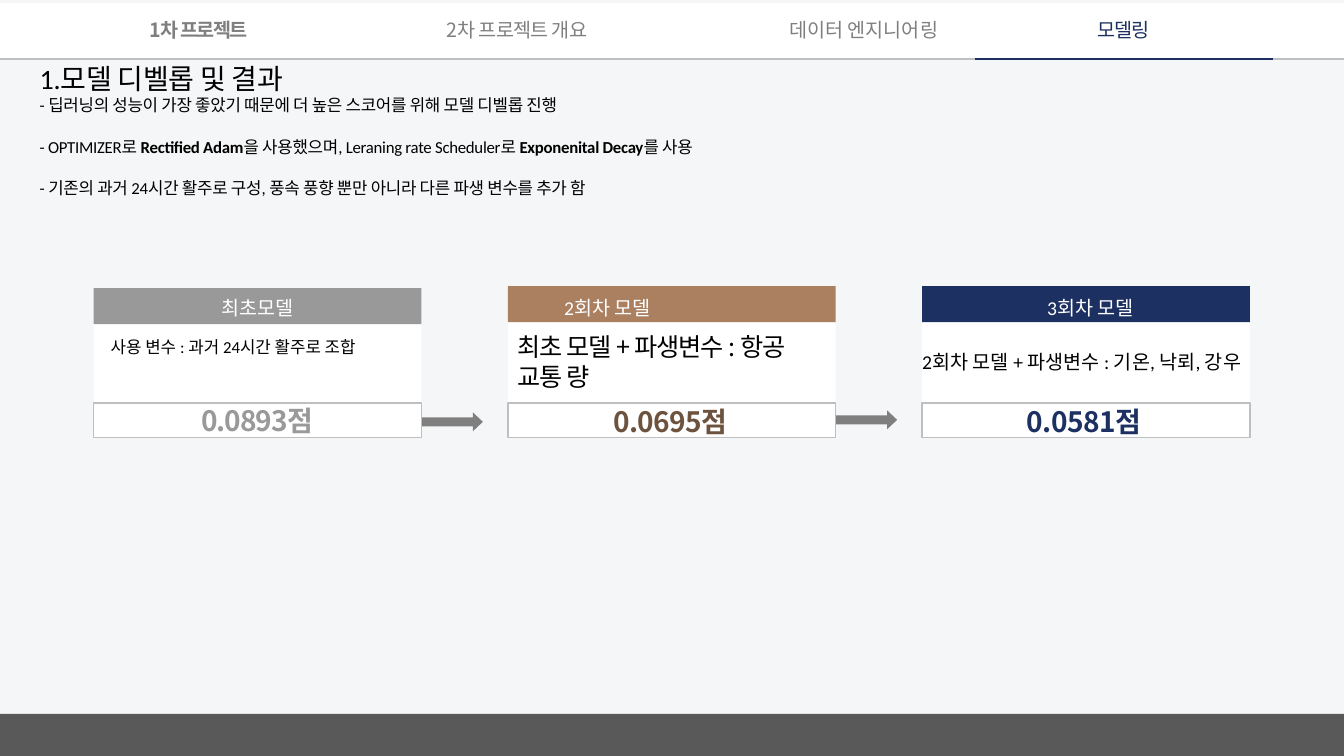
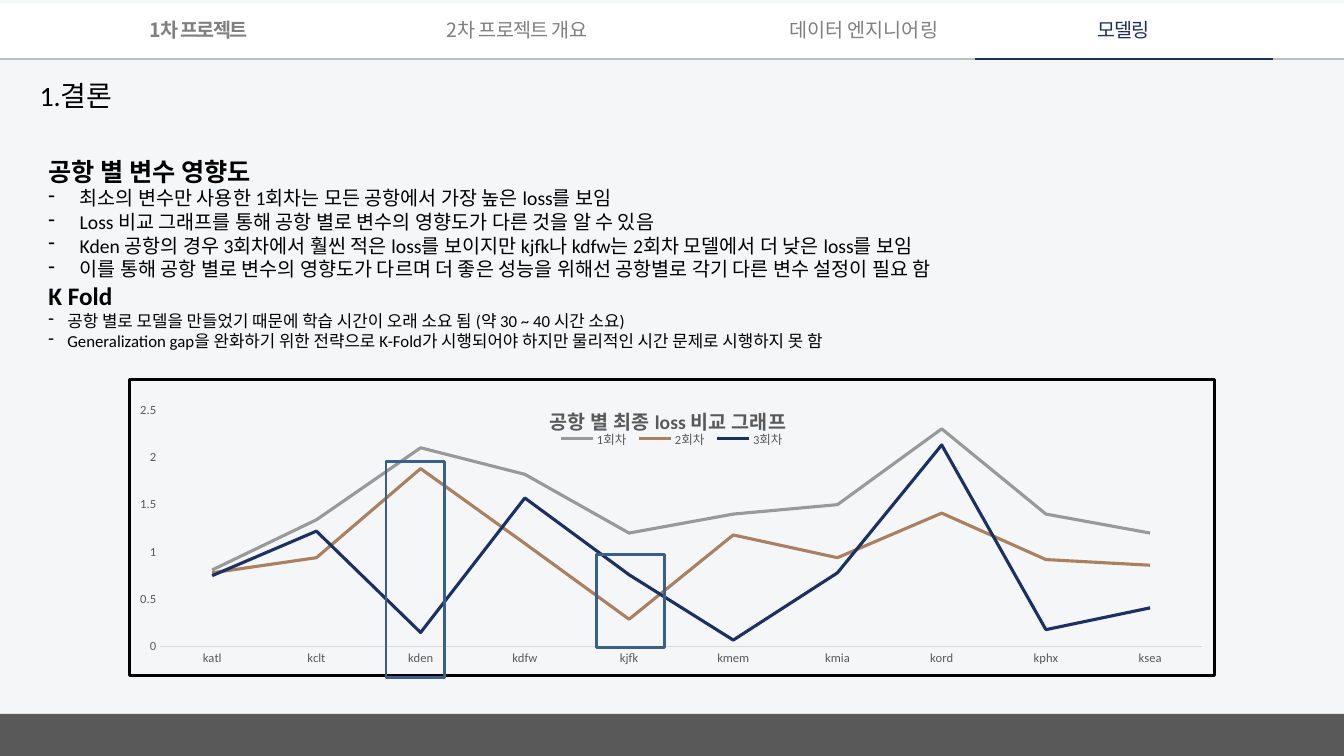
from lxml import etree
from pptx import Presentation
from pptx.chart.data import CategoryChartData
from pptx.dml.color import RGBColor
from pptx.enum.chart import XL_CHART_TYPE, XL_LEGEND_POSITION, XL_MARKER_STYLE, XL_TICK_MARK
from pptx.enum.shapes import MSO_CONNECTOR, MSO_SHAPE
from pptx.enum.text import MSO_ANCHOR, MSO_AUTO_SIZE, PP_ALIGN
from pptx.oxml import parse_xml
from pptx.oxml.ns import nsdecls, qn
from pptx.util import Cm, Pt

COLORS = {
    "page": "F5F6F7", "white": "FFFFFF", "black": "000000", "footer": "595959",
    "rule": "BFBFBF", "axis": "D9D9D9", "muted": "7F7F7F", "gray": "999999",
    "brown": "AA8060", "dark_brown": "6D533E", "navy": "1C3061", "frame": "3A5F8C",
}
LATIN, KOREAN = "Calibri", "Noto Sans CJK KR"
SLIDE_WIDTH, SLIDE_HEIGHT = 33.87, 19.05
HEADER_BOTTOM, FOOTER_TOP = 1.49, 17.99
CARD_LEFT, CARD_STEP, CARD_WIDTH = 2.36, 10.44, 8.26

NAVIGATION = [
    ("1차 프로젝트", 3.73, 3.6, {"color": "muted", "bold": True, "spacing": -1.1}),
    ("2차 프로젝트 개요", 11.23, 3.81, {"color": "muted", "spacing": -0.5}),
    ("데이터 엔지니어링", 19.86, 4.47, {"color": "muted"}),
    ("모델링", 27.64, 2, {"color": "navy", "spacing": -0.8}),
]
TITLE = {"size": 20, "spacing": -0.2}
BODY = {"size": 12, "spacing": -0.2}
STRONG = {**BODY, "bold": True}
HEADING = {"size": 18, "bold": True}
INTRODUCTION = [
    [("1.모델 디벨롭 및 결과", TITLE), ("\v", {}),
     ("- 딥러닝의 성능이 가장 좋았기 때문에 더 높은 스코어를 위해 모델 디벨롭 진행", BODY)],
    [("- OPTIMIZER로 ", BODY), ("Rectified Adam", STRONG),
     ("을 사용했으며, Leraning rate Scheduler로 ", BODY),
     ("Exponenital Decay", STRONG), ("를 사용", BODY)],
    [("- 기존의 과거 24시간 활주로 구성, 풍속 풍향 뿐만 아니라 다른 파생 변수를 추가 함", BODY)],
]
CARDS = [
    {"color": "gray", "header_top": 7.26, "body_top": 8.15,
     "label": ("최초모델", (5.33, 7.34, 2.51, 0.86)),
     "body": ("사용 변수 : 과거 24시간 활주로 조합", (2.54, 8.36, 7.32, 0.76), {"size": 12}, False),
     "score": ("0.0893점", "gray", -0.8, 2.72, 0)},
    {"color": "brown", "header_top": 7.21, "body_top": 8.08,
     "label": ("2회차 모델", (13.97, 7.34, 2.97, 0.86)),
     "body": ("최초 모델 + 파생변수 : 항공 교통 량", (12.8, 8.23, 7.92, 1.8),
              {"size": 18, "font": KOREAN, "spacing": -0.8}, True),
     "score": ("0.0695점", "dark_brown", -0.6, 2.67, 0.03)},
    {"color": "navy", "header_top": 7.21, "body_top": 8.1,
     "label": ("3회차 모델", (26.14, 7.32, 2.87, 0.86)),
     "body": ("2회차 모델 + 파생변수 : 기온, 낙뢰, 강우", (22.99, 8.69, 9.17, 0.86), {"size": 14}, False),
     "score": ("0.0581점", "navy", -0.4, 2.64, 0.03)},
]
ARROW_TOPS = [10.39, 10.34]
FINDINGS = [
    ("공항 별 변수 영향도", HEADING, 0),
    ("최소의 변수만 사용한 1회차는 모든 공항에서 가장 높은 loss를 보임", {"size": 14}, 0.79),
    ("Loss 비교 그래프를 통해 공항 별로 변수의 영향도가 다른 것을 알 수 있음", {"size": 14}, 0.79),
    ("Kden 공항의 경우 3회차에서 훨씬 적은 loss를 보이지만 kjfk나 kdfw는 2회차 모델에서 더 낮은 loss를 보임",
     {"size": 14}, 0.79),
    ("이를 통해 공항 별로 변수의 영향도가 다르며 더 좋은 성능을 위해선 공항별로 각기 다른 변수 설정이 필요 함",
     {"size": 14}, 0.79),
    ("K Fold", HEADING, 0),
    ("공항 별로 모델을 만들었기 때문에 학습 시간이 오래 소요 됨 (약 30 ~ 40 시간 소요)", {"size": 12}, 0.48),
    ("Generalization gap을 완화하기 위한 전략으로 K-Fold가 시행되어야 하지만 물리적인 시간 문제로 시행하지 못 함",
     {"size": 12}, 0.48),
]
AIRPORTS = ["katl", "kclt", "kden", "kdfw", "kjfk", "kmem", "kmia", "kord", "kphx", "ksea"]
LOSSES = [
    ("1회차", "gray", [0.81, 1.34, 2.1, 1.82, 1.2, 1.4, 1.5, 2.3, 1.4, 1.2]),
    ("2회차", "brown", [0.78, 0.94, 1.88, 1.09, 0.29, 1.18, 0.94, 1.41, 0.92, 0.86]),
    ("3회차", "navy", [0.75, 1.22, 0.15, 1.57, 0.76, 0.07, 0.78, 2.13, 0.18, 0.41]),
]
HIGHLIGHTS = [(9.73, 11.63, 1.47, 5.44), (15.04, 13.97, 1.7, 2.34)]


def color(name):
    return RGBColor.from_string(COLORS[name])


def style_font(font, size, color_name, bold=False, name=LATIN):
    values = {"size": Pt(size), "bold": bold, "name": name}
    for attribute, value in values.items():
        setattr(font, attribute, value)
    font.color.rgb = color(color_name)


def style_line(line, color_name, width):
    line.color.rgb = color(color_name)
    line.width = Pt(width)


def add_run(paragraph, text, style):
    if text == "\v":
        paragraph.add_line_break()
        return
    run = paragraph.add_run()
    run.text = text
    style_font(run.font, style["size"], style.get("color", "black"),
               style.get("bold", False), style.get("font", LATIN))
    properties = run._r.get_or_add_rPr()
    if "spacing" in style:
        properties.set("spc", str(round(style["spacing"] * 100)))
    etree.SubElement(properties, qn("a:ea")).set("typeface", KOREAN)


def indent(paragraph, left, hanging=False):
    properties = paragraph._p.get_or_add_pPr()
    properties.set("marL", str(Cm(left)))
    properties.set("indent", str(-Cm(left) if hanging else 0))
    if hanging:
        etree.SubElement(properties, qn("a:buChar")).set("char", "-")


def fill_text(shape, paragraphs, wrap=True, top_inset=None, left=0, before=None):
    frame = shape.text_frame
    values = {"word_wrap": wrap, "auto_size": MSO_AUTO_SIZE.SHAPE_TO_FIT_TEXT,
              "vertical_anchor": MSO_ANCHOR.TOP}
    if top_inset is not None:
        values.update(margin_left=0, margin_right=0, margin_bottom=0, margin_top=Cm(top_inset))
    for attribute, value in values.items():
        setattr(frame, attribute, value)
    for index, runs in enumerate(paragraphs):
        paragraph = frame.add_paragraph() if index else frame.paragraphs[0]
        paragraph.alignment = PP_ALIGN.LEFT
        if before is not None:
            paragraph.space_before = Pt(before)
        if left:
            indent(paragraph, left)
        for text, style in runs:
            add_run(paragraph, text, style)
    return frame


def add_text(slide, box, paragraphs, **options):
    shape = slide.shapes.add_textbox(*map(Cm, box))
    return fill_text(shape, paragraphs, **options)


def add_block(slide, box, fill=None, line=None, width=1, kind=MSO_SHAPE.RECTANGLE):
    shape = slide.shapes.add_shape(kind, *map(Cm, box))
    shape.shadow.inherit = False
    if fill:
        shape.fill.solid()
        shape.fill.fore_color.rgb = color(fill)
    else:
        shape.fill.background()
    if line:
        style_line(shape.line, line, width)
    else:
        shape.line.fill.background()
    return shape


def add_rule(slide, start, end, color_name):
    rule = slide.shapes.add_connector(
        MSO_CONNECTOR.STRAIGHT, Cm(start), Cm(HEADER_BOTTOM), Cm(end), Cm(HEADER_BOTTOM))
    style_line(rule.line, color_name, 1.5)
    etree.SubElement(rule.element.spPr, qn("a:effectLst"))
    return rule


def move_bands_to_layout(slide, layout):
    for placeholder in list(layout.placeholders):
        layout.shapes.element.remove(placeholder.element)
    bands = [(0, 0.08, "page"), (HEADER_BOTTOM, FOOTER_TOP, "page"),
             (FOOTER_TOP, SLIDE_HEIGHT, "footer"), (0.08, HEADER_BOTTOM, "white")]
    shapes = [add_block(slide, (0, top, SLIDE_WIDTH, bottom - top), fill)
              for top, bottom, fill in bands]
    shapes.append(add_rule(slide, 0, SLIDE_WIDTH, "rule"))
    for shape in shapes:
        layout.shapes.element.append(shape.element)


def add_navigation(slide):
    add_rule(slide, 24.57, 32.07, "navy")
    for text, left, width, style in NAVIGATION:
        add_text(slide, (left, 0.41, width, 0.64),
                 [[(text, {"size": 14, "font": KOREAN, **style})]],
                 top_inset=0.03, left=0.03, before=1)


def add_title(slide, top, height, paragraphs):
    add_text(slide, (0.97, top, 18.8, height), paragraphs, top_inset=0.53, left=0.03, before=15.1)


def add_card(slide, left, card):
    add_block(slide, (left, card["body_top"], CARD_WIDTH, 2.06), "white")
    add_block(slide, (left, card["header_top"], CARD_WIDTH, 0.91), card["color"])
    label, label_box = card["label"]
    add_text(slide, label_box, [[(label, {"size": 14, "color": "white"})]], wrap=False)
    text, text_box, style, wrap = card["body"]
    add_text(slide, text_box, [[(text, style)]], wrap=wrap)


def add_score(slide, left, text, color_name, spacing, margin, top_inset):
    box = add_block(slide, (left, 10.16, CARD_WIDTH, 0.86), "white", "rule")
    style = {"size": 20, "font": KOREAN, "color": color_name, "bold": True, "spacing": spacing}
    fill_text(box, [[(text, style)]], top_inset=top_inset, left=margin)


def add_arrow(slide, left, top):
    arrow = add_block(slide, (left, top, 3.1, 0.48), "muted", kind=MSO_SHAPE.RIGHT_ARROW)
    arrow.adjustments[0], arrow.adjustments[1] = 0.47, 0.53


def add_findings(slide):
    frame = add_text(slide, (0.97, 3.81, 24.77, 5.99),
                     [[(text, style)] for text, style, _ in FINDINGS], wrap=False)
    for paragraph, (_, _, hanging) in zip(frame.paragraphs, FINDINGS):
        if hanging:
            indent(paragraph, hanging, hanging=True)


def place_part(chart, tag, position, **values):
    part = chart.element.xpath(f".//c:{tag}")[0]
    for old in part.findall(qn("c:layout")):
        part.remove(old)
    settings = "".join(f'<c:{key} val="{value}"/>' for key, value in values.items())
    part.insert(position, parse_xml(
        f'<c:layout {nsdecls("c")}><c:manualLayout>{settings}</c:manualLayout></c:layout>'))


def add_border(chart):
    border = parse_xml(
        f'<c:spPr {nsdecls("c", "a")}><a:noFill/><a:ln w="{Pt(2.25)}"><a:solidFill>'
        f'<a:srgbClr val="{COLORS["black"]}"/></a:solidFill></a:ln></c:spPr>')
    chart.element.find(qn("c:txPr")).addprevious(border)


def add_loss_chart(slide):
    data = CategoryChartData()
    data.categories = AIRPORTS
    for name, _, values in LOSSES:
        data.add_series(name, values)
    box = map(Cm, (3.23, 9.53, 27.41, 7.54))
    chart = slide.shapes.add_chart(XL_CHART_TYPE.LINE, *box, data).chart
    style_font(chart.font, 10, "black")
    add_border(chart)
    chart.has_title = True
    add_run(chart.chart_title.text_frame.paragraphs[0], "공항 별 최종 loss 비교 그래프",
            {"size": 14, "bold": True, "color": "footer"})
    chart.chart_title.include_in_layout = True
    chart.has_legend = True
    chart.legend.position = XL_LEGEND_POSITION.BOTTOM
    chart.legend.include_in_layout = True
    style_font(chart.legend.font, 9, "footer")
    for axis in (chart.category_axis, chart.value_axis):
        axis.major_tick_mark = axis.minor_tick_mark = XL_TICK_MARK.NONE
        axis.has_major_gridlines = False
        style_font(axis.tick_labels.font, 9, "footer")
    style_line(chart.category_axis.format.line, "axis", 0.75)
    value_axis = chart.value_axis
    value_axis.format.line.fill.background()
    for attribute, value in {"minimum_scale": 0, "maximum_scale": 2.5, "major_unit": 0.5}.items():
        setattr(value_axis, attribute, value)
    chart.plots[0].vary_by_categories = False
    for series, (_, color_name, _) in zip(chart.plots[0].series, LOSSES):
        series.smooth = False
        series.marker.style = XL_MARKER_STYLE.NONE
        style_line(series.format.line, color_name, 2.25)
    edges = {"xMode": "edge", "yMode": "edge"}
    place_part(chart, "plotArea", 0, layoutTarget="inner", **edges, x=0.028, y=0.102, w=0.961, h=0.8)
    place_part(chart, "title", 1, **edges, x=0.384, y=0.07)
    place_part(chart, "legend", 1, **edges, x=0.39, y=0.16, w=0.22, h=0.08)


def build_model_slide(slide):
    add_navigation(slide)
    add_title(slide, 1.02, 4.85, INTRODUCTION)
    lefts = [CARD_LEFT + CARD_STEP * index for index in range(len(CARDS))]
    for left, card in zip(lefts, CARDS):
        add_card(slide, left, card)
    for left, top in zip(lefts, ARROW_TOPS):
        add_arrow(slide, left + 6.71, top)
    for left, card in zip(lefts, CARDS):
        add_score(slide, left, *card["score"])


def build_conclusion_slide(slide):
    add_navigation(slide)
    add_title(slide, 1.45, 1.4, [[("1.결론", TITLE)]])
    add_findings(slide)
    add_loss_chart(slide)
    for box in HIGHLIGHTS:
        add_block(slide, box, line="frame", width=2)


def main():
    presentation = Presentation()
    presentation.slide_width = Cm(SLIDE_WIDTH)
    presentation.slide_height = Cm(SLIDE_HEIGHT)
    layout = presentation.slide_layouts[6]
    model_slide = presentation.slides.add_slide(layout)
    move_bands_to_layout(model_slide, layout)
    build_model_slide(model_slide)
    build_conclusion_slide(presentation.slides.add_slide(layout))
    presentation.save("out.pptx")


main()
